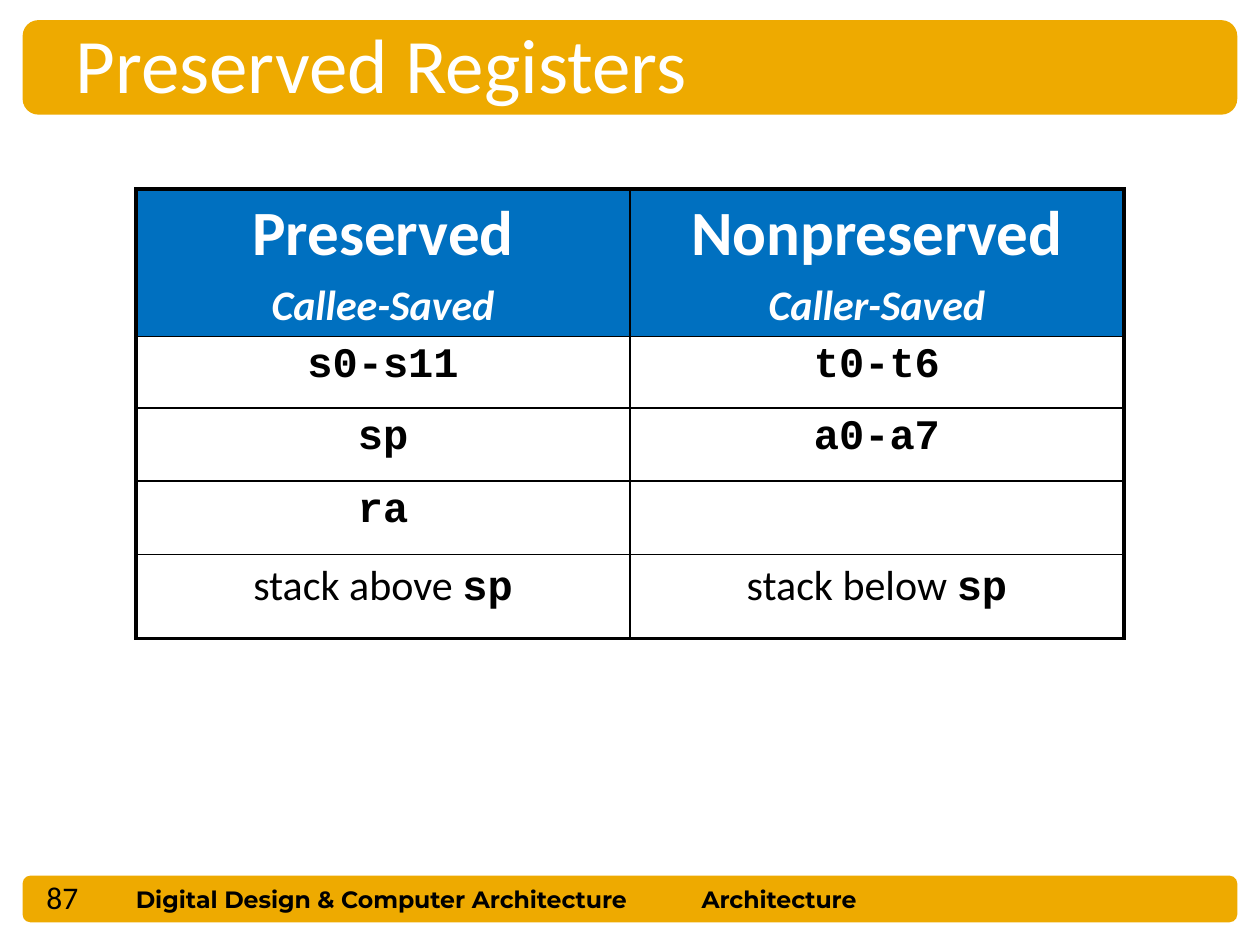
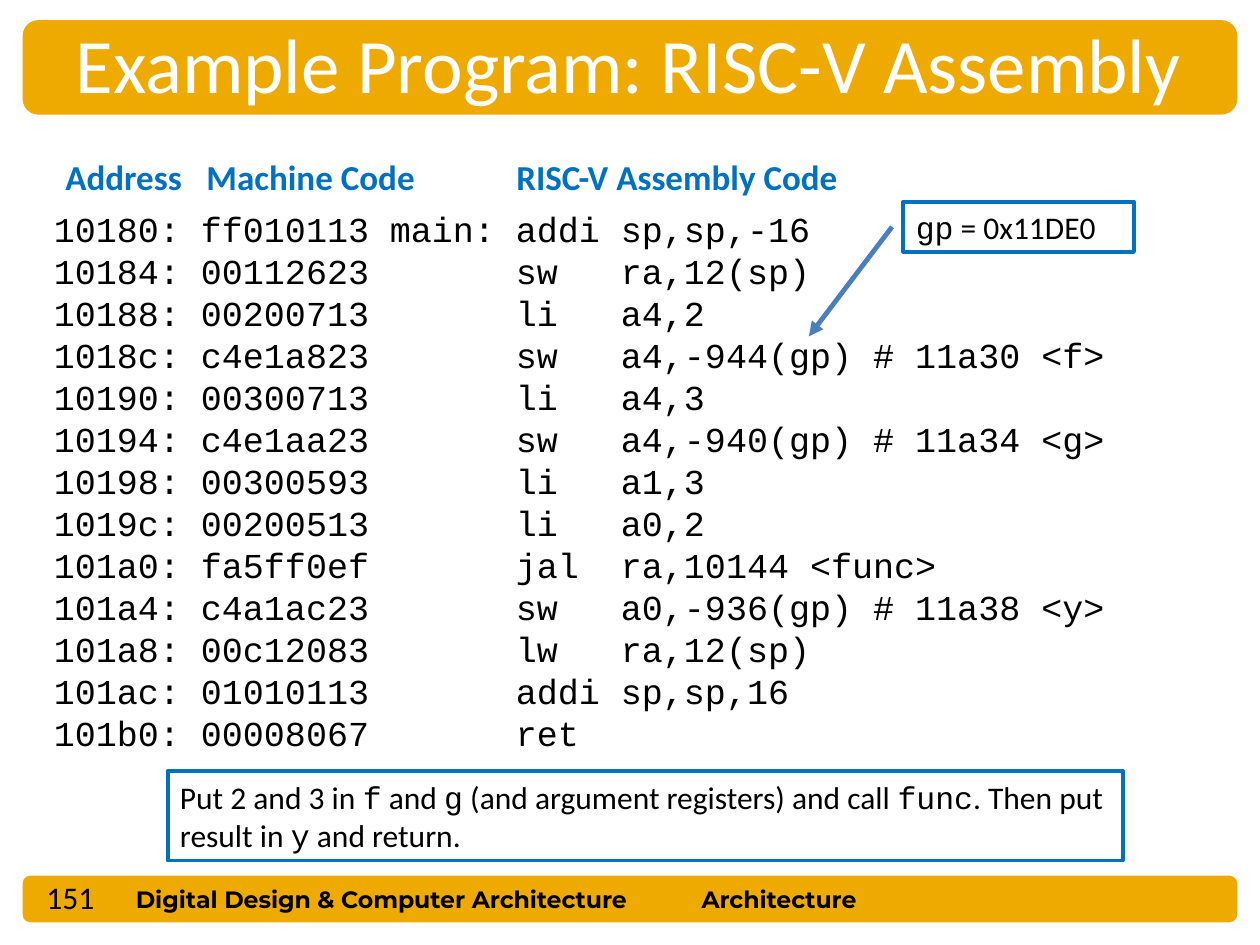
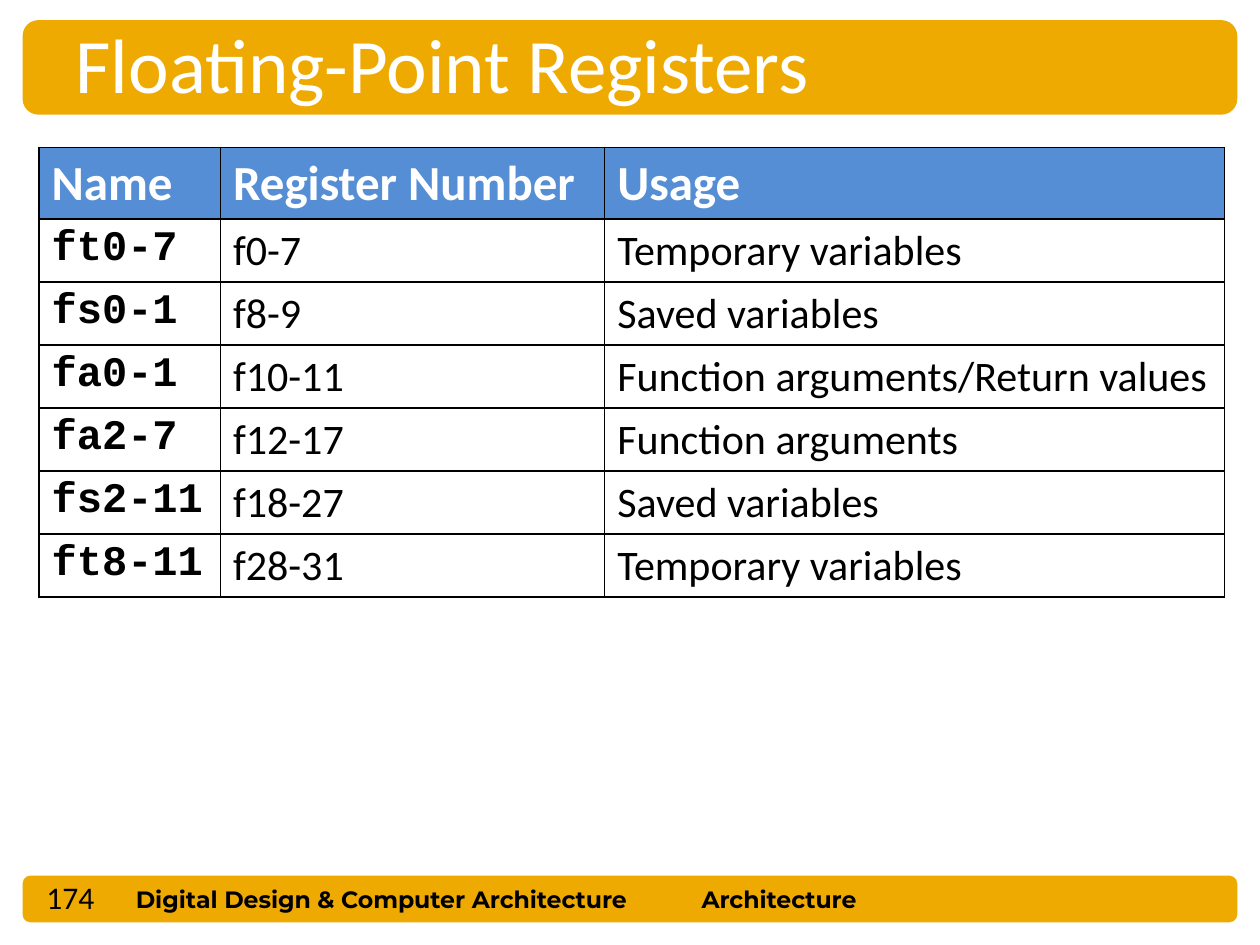
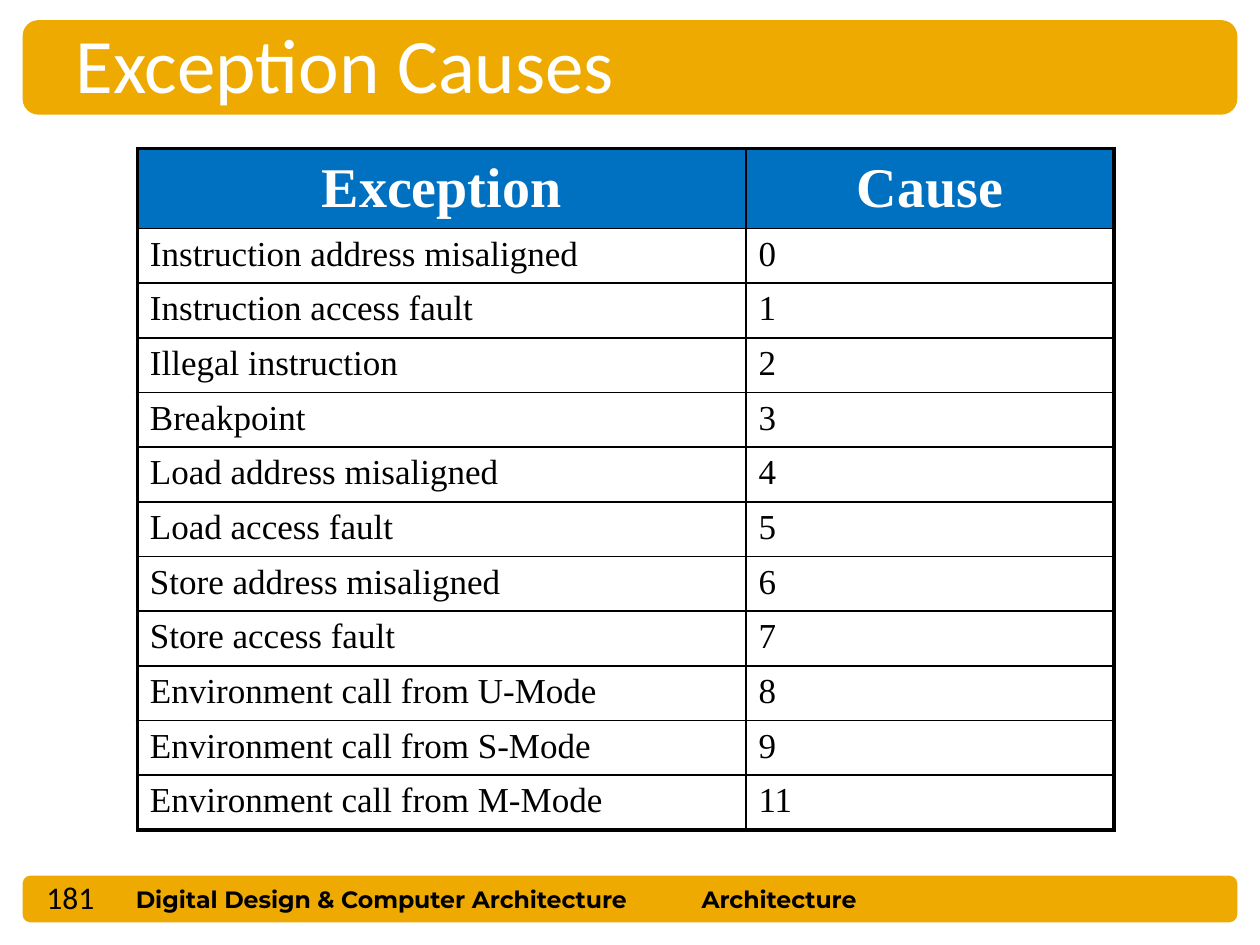
from dataclasses import dataclass, replace
from typing import NamedTuple

from lxml import etree
from pptx import Presentation
from pptx.dml.color import RGBColor
from pptx.enum.shapes import MSO_CONNECTOR, MSO_SHAPE
from pptx.enum.text import MSO_ANCHOR, MSO_AUTO_SIZE, PP_ALIGN
from pptx.oxml.ns import qn
from pptx.util import Inches, Pt

ROUNDED = MSO_SHAPE.ROUNDED_RECTANGLE
RECTANGLE = MSO_SHAPE.RECTANGLE
STRAIGHT = MSO_CONNECTOR.STRAIGHT
MIDDLE, TOP = MSO_ANCHOR.MIDDLE, MSO_ANCHOR.TOP
NO_AUTOFIT = MSO_AUTO_SIZE.NONE
LEFT, CENTER = PP_ALIGN.LEFT, PP_ALIGN.CENTER

GOLD = RGBColor(0xEE, 0xAA, 0x00)
BLUE = RGBColor(0x00, 0x70, 0xC0)
SOFT_BLUE = RGBColor(0x55, 0x8E, 0xD5)
ARROW_BLUE = RGBColor(0x4B, 0x7E, 0xBC)
BLACK = RGBColor(0x00, 0x00, 0x00)
WHITE = RGBColor(0xFF, 0xFF, 0xFF)

CODE_FONT = "Courier New"
CODE_MARK = "`"
TITLE_ONLY = 5


class Box(NamedTuple):
    left: float
    top: float
    width: float
    height: float

    def lengths(self) -> list:
        return [Inches(value) for value in self]


@dataclass(frozen=True)
class TextStyle:
    size: float
    font: str = "Calibri"
    color: RGBColor = BLACK
    bold: bool = False
    italic: bool = False


@dataclass(frozen=True)
class TableDesign:
    left: float
    top: float
    columns: list[float]
    row_heights: list[float]
    header_styles: list[TextStyle]
    body_style: TextStyle
    header_fill: RGBColor = BLUE
    header_align: PP_ALIGN = CENTER
    header_anchor: MSO_ANCHOR = MIDDLE
    body_align: PP_ALIGN = LEFT
    outer_line: float = 2.25
    inner_line: float = 1


TITLE_STYLE = TextStyle(44, color=WHITE)
NUMBER_STYLE = TextStyle(18)
FOOTER_STYLE = TextStyle(13.5, "Montserrat", bold=True)
NOTE_STYLE = TextStyle(18)
LISTING_STYLE = TextStyle(20, CODE_FONT)
HEADING_STYLE = TextStyle(20, color=BLUE, bold=True)

TITLE_BOX = Box(0.5, 0.08, 9.08, 0.84)
NUMBER_BOX = Box(0.27, 6.92, 0.82, 0.39)
BANDS = [Box(0.18, 6.95, 9.64, 0.37), Box(0.18, 0.16, 9.64, 0.75)]
FOOTERS = [
    ("Digital Design & Computer Architecture", Box(0.98, 6.97, 4.44, 0.33)),
    ("Architecture", Box(5.47, 6.97, 2.94, 0.33)),
]

PRESERVED_ROWS = [
    ["Preserved\nCallee-Saved", "Nonpreserved\nCaller-Saved"],
    ["`s0-s11`", "`t0-t6`"],
    ["`sp`", "`a0-a7`"],
    ["`ra`", ""],
    ["stack above `sp`", "stack below `sp`"],
]
FLOAT_ROWS = [
    ["Name", "Register Number", "Usage"],
    ["`ft0-7`", "f0-7", "Temporary variables"],
    ["`fs0-1`", "f8-9", "Saved variables"],
    ["`fa0-1`", "f10-11", "Function arguments/Return values"],
    ["`fa2-7`", "f12-17", "Function arguments"],
    ["`fs2-11`", "f18-27", "Saved variables"],
    ["`ft8-11`", "f28-31", "Temporary variables"],
]
EXCEPTION_ROWS = [
    ["Exception", "Cause"],
    ["Instruction address misaligned", "0"],
    ["Instruction access fault", "1"],
    ["Illegal instruction", "2"],
    ["Breakpoint", "3"],
    ["Load address misaligned", "4"],
    ["Load access fault", "5"],
    ["Store address misaligned", "6"],
    ["Store access fault", "7"],
    ["Environment call from U-Mode", "8"],
    ["Environment call from S-Mode", "9"],
    ["Environment call from M-Mode", "11"],
]
INSTRUCTIONS = [
    ("10180:", "ff010113", "main:", "addi", "sp,sp,-16"),
    ("10184:", "00112623", "", "sw", "ra,12(sp)"),
    ("10188:", "00200713", "", "li", "a4,2"),
    ("1018c:", "c4e1a823", "", "sw", "a4,-944(gp) # 11a30 <f>"),
    ("10190:", "00300713", "", "li", "a4,3"),
    ("10194:", "c4e1aa23", "", "sw", "a4,-940(gp) # 11a34 <g>"),
    ("10198:", "00300593", "", "li", "a1,3"),
    ("1019c:", "00200513", "", "li", "a0,2"),
    ("101a0:", "fa5ff0ef", "", "jal", "ra,10144 <func>"),
    ("101a4:", "c4a1ac23", "", "sw", "a0,-936(gp) # 11a38 <y>"),
    ("101a8:", "00c12083", "", "lw", "ra,12(sp)"),
    ("101ac:", "01010113", "", "addi", "sp,sp,16"),
    ("101b0:", "00008067", "", "ret"),
]
CHARACTER_WIDTH = 1 / 6
LISTING_STOPS = [column * CHARACTER_WIDTH for column in (7, 16, 22, 27)]
HEADINGS = "Address\tMachine Code\tRISC-V Assembly Code"
HEADING_STOPS = [1.12, 3.58]
GP_NOTE = "`gp` = 0x11DE0"
PROGRAM_NOTE = (
    "Put 2 and 3 in `f` and `g` (and argument registers) and call `func`. "
    "Then put result in `y` and return."
)


def format_run(run, style: TextStyle) -> None:
    run.font.size = Pt(style.size)
    run.font.name = style.font
    run.font.color.rgb = style.color
    run.font.bold = style.bold
    run.font.italic = style.italic


def write(paragraph, text: str, style: TextStyle, code_bold: bool = False) -> None:
    code_style = replace(style, font=CODE_FONT, bold=code_bold)
    for position, part in enumerate(text.split(CODE_MARK)):
        if part:
            run = paragraph.add_run()
            run.text = part
            format_run(run, code_style if position % 2 else style)


def set_tab_stops(paragraph, stops: list[float]) -> None:
    properties = paragraph._p.get_or_add_pPr()
    tab_list = etree.SubElement(properties, qn("a:tabLst"))
    for stop in stops:
        etree.SubElement(tab_list, qn("a:tab"), pos=str(Inches(stop)), algn="l")


def add_label(slide, text: str, box: Box, style: TextStyle, anchor=MIDDLE):
    frame = slide.shapes.add_textbox(*box.lengths()).text_frame
    frame.word_wrap = True
    frame.vertical_anchor = anchor
    frame.text = text
    for paragraph in frame.paragraphs:
        for run in paragraph.runs:
            format_run(run, style)
    return frame


def add_band(slide, box: Box) -> None:
    band = slide.shapes.add_shape(ROUNDED, *box.lengths())
    band.shadow.inherit = False
    band.fill.solid()
    band.fill.fore_color.rgb = GOLD
    band.line.fill.background()


def add_note(slide, text: str, box: Box) -> None:
    note = slide.shapes.add_shape(RECTANGLE, *box.lengths())
    note.shadow.inherit = False
    note.fill.background()
    note.line.color.rgb = BLUE
    note.line.width = Pt(2.25)
    note.text_frame.word_wrap = True
    paragraph = note.text_frame.paragraphs[0]
    paragraph.alignment = LEFT
    write(paragraph, text, NOTE_STYLE)


def add_arrow(slide, start: tuple[float, float], end: tuple[float, float]) -> None:
    ends = [Inches(value) for value in (*start, *end)]
    arrow = slide.shapes.add_connector(STRAIGHT, *ends)
    arrow.line.color.rgb = ARROW_BLUE
    arrow.line.width = Pt(2.75)
    etree.SubElement(arrow.line._get_or_add_ln(), qn("a:tailEnd"), type="triangle")
    etree.SubElement(arrow._element.spPr, qn("a:effectLst"))


def add_titled_slide(deck, title: str, number: int):
    slide = deck.slides.add_slide(deck.slide_layouts[TITLE_ONLY])
    for box in BANDS:
        add_band(slide, box)
    for text, box in FOOTERS:
        add_label(slide, text, box, FOOTER_STYLE)

    heading = slide.shapes.title
    heading.element.getparent().append(heading.element)
    heading.left, heading.top, heading.width, heading.height = TITLE_BOX.lengths()
    frame = heading.text_frame
    frame.text = title
    frame.word_wrap = True
    frame.auto_size = NO_AUTOFIT
    frame.vertical_anchor = MIDDLE
    frame.paragraphs[0].alignment = LEFT
    format_run(frame.paragraphs[0].runs[0], TITLE_STYLE)

    add_label(slide, str(number), NUMBER_BOX, NUMBER_STYLE)
    return slide


def set_borders(cell, widths: dict[str, float]) -> None:
    properties = cell._tc.get_or_add_tcPr()
    for side, width in widths.items():
        line = etree.SubElement(properties, qn(f"a:ln{side}"), w=str(Pt(width)))
        fill = etree.SubElement(line, qn("a:solidFill"))
        etree.SubElement(fill, qn("a:srgbClr"), val=str(BLACK))


def fill_cell(cell, text: str, design: TableDesign, is_header: bool) -> None:
    if is_header:
        cell.fill.solid()
        cell.fill.fore_color.rgb = design.header_fill
        cell.vertical_anchor = design.header_anchor
        styles, align = design.header_styles, design.header_align
    else:
        cell.fill.background()
        styles, align = [design.body_style], design.body_align
    frame = cell.text_frame
    for position, (line, style) in enumerate(zip(text.split("\n"), styles)):
        paragraph = frame.add_paragraph() if position else frame.paragraphs[0]
        paragraph.alignment = align
        if position:
            paragraph.space_before = Pt(0.2 * style.size)
        write(paragraph, line, style, code_bold=True)


def add_grid(slide, rows: list[list[str]], design: TableDesign) -> None:
    box = Box(design.left, design.top, sum(design.columns), sum(design.row_heights))
    last_row, last_column = len(rows) - 1, len(design.columns) - 1
    grid = slide.shapes.add_table(len(rows), last_column + 1, *box.lengths()).table
    grid.first_row = grid.horz_banding = False
    for column, width in zip(grid.columns, design.columns):
        column.width = Inches(width)
    for row, height in zip(grid.rows, design.row_heights):
        row.height = Inches(height)
    for r, texts in enumerate(rows):
        for c, text in enumerate(texts):
            cell = grid.cell(r, c)
            on_edge = {"L": c == 0, "R": c == last_column, "T": r == 0, "B": r == last_row}
            set_borders(cell, {
                side: design.outer_line if outer else design.inner_line
                for side, outer in on_edge.items()
            })
            fill_cell(cell, text, design, is_header=r == 0)


def build_preserved_registers(deck) -> None:
    slide = add_titled_slide(deck, "Preserved Registers", 87)
    add_grid(slide, PRESERVED_ROWS, TableDesign(
        left=1.08,
        top=1.5,
        columns=[3.92] * 2,
        row_heights=[1.17, 0.57, 0.58, 0.58, 0.67],
        header_styles=[
            TextStyle(36, color=WHITE, bold=True),
            TextStyle(24, color=WHITE, bold=True, italic=True),
        ],
        body_style=TextStyle(24),
        body_align=CENTER,
    ))


def build_example_program(deck) -> None:
    slide = add_titled_slide(deck, "Example Program: RISC-V Assembly", 151)
    code = "\n".join("\t".join(fields) for fields in INSTRUCTIONS)
    listing = add_label(slide, code, Box(0.33, 1.6, 9.5, 4.5), LISTING_STYLE, TOP)
    for paragraph in listing.paragraphs:
        paragraph.line_spacing = Pt(24)
        set_tab_stops(paragraph, LISTING_STOPS)
    headings = add_label(slide, HEADINGS, Box(0.42, 1.18, 7.25, 0.44), HEADING_STYLE)
    set_tab_stops(headings.paragraphs[0], HEADING_STOPS)
    add_note(slide, GP_NOTE, Box(7.17, 1.6, 1.83, 0.4))
    add_arrow(slide, (7.08, 1.8), (6.42, 2.67))
    add_note(slide, PROGRAM_NOTE, Box(1.33, 6.12, 7.58, 0.71))


def build_float_registers(deck) -> None:
    slide = add_titled_slide(deck, "Floating-Point Registers", 174)
    add_grid(slide, FLOAT_ROWS, TableDesign(
        left=0.31,
        top=1.17,
        columns=[1.44, 3.05, 4.92],
        row_heights=[0.56] + [0.5] * 6,
        header_styles=[TextStyle(28, color=WHITE, bold=True)],
        body_style=TextStyle(24),
        header_fill=SOFT_BLUE,
        header_align=LEFT,
        header_anchor=TOP,
        outer_line=1,
    ))


def build_exception_causes(deck) -> None:
    slide = add_titled_slide(deck, "Exception Causes", 181)
    add_grid(slide, EXCEPTION_ROWS, TableDesign(
        left=1.09,
        top=1.18,
        columns=[4.83, 2.92],
        row_heights=[0.63] + [0.43] * 11,
        header_styles=[TextStyle(32, "Times New Roman", WHITE, bold=True)],
        body_style=TextStyle(20, "Times New Roman"),
    ))


def main() -> None:
    deck = Presentation()
    deck.slide_width, deck.slide_height = Inches(10), Inches(7.5)
    build_preserved_registers(deck)
    build_example_program(deck)
    build_float_registers(deck)
    build_exception_causes(deck)
    deck.save("out.pptx")


if __name__ == "__main__":
    main()
